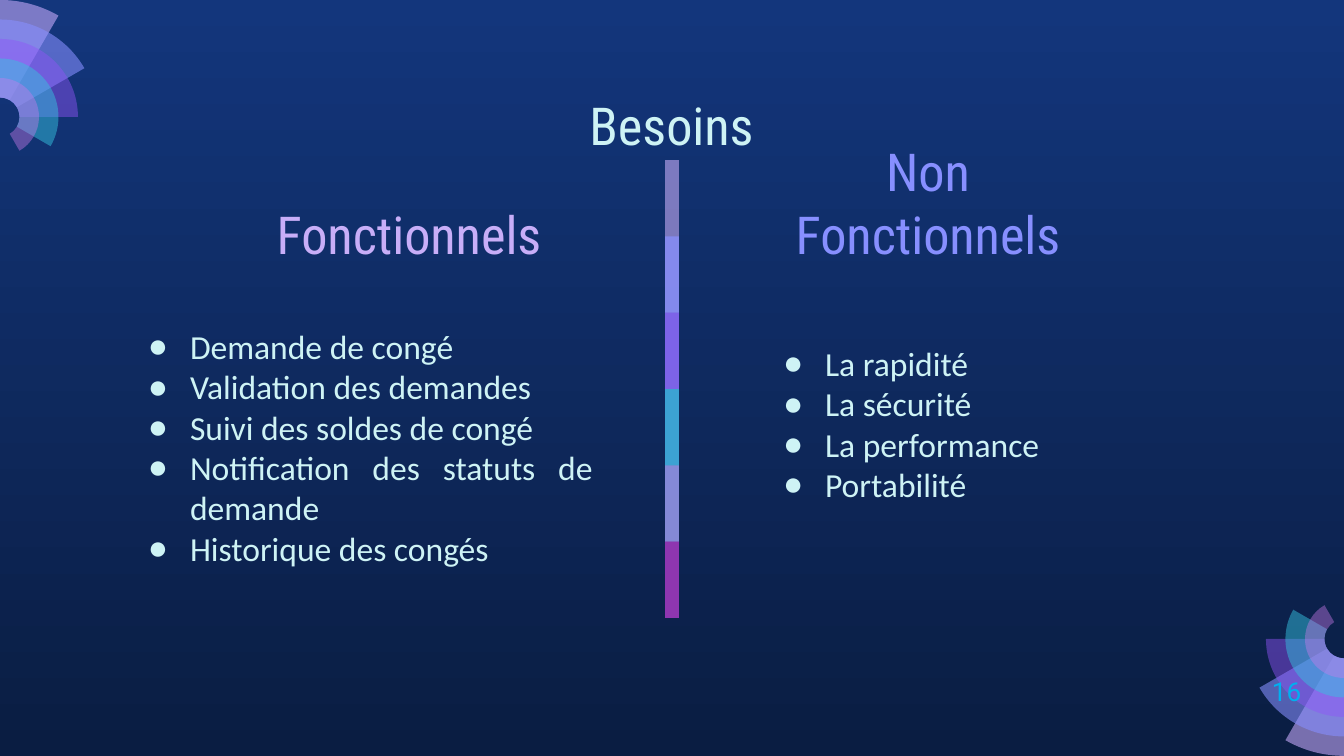
import math
from dataclasses import dataclass

from lxml import etree
from pptx import Presentation
from pptx import util as u
from pptx.dml.color import RGBColor
from pptx.enum import shapes, text
from pptx.oxml import ns

WIDTH, HEIGHT = 1344, 756
FAN_RADIUS = 117
SCALE = 9144000 / WIDTH


@dataclass(frozen=True)
class Theme:
    sky: str = "13367C"
    night: str = "0A1D42"
    pale: str = "CEF3F5"
    lilac: str = "C8AEF8"
    periwinkle: str = "878FFF"
    violet: str = "9154F8"
    cyan: str = "35C2DF"
    orchid: str = "CA7BEB"
    purple: str = "972CB4"
    azure: str = "00B0F0"
    petal: str = "C8ACFD"
    heading_font: str = "Roboto Condensed"
    body_font: str = "Calibri"
    number_font: str = "Roboto"
    heading_size: int = 28
    body_size: int = 18
    number_size: int = 14


THEME = Theme()


def px(value):
    return u.Emu(round(value * SCALE))


def paint(shape, color, opacity):
    shape.shadow.inherit = False
    shape.fill.solid()
    shape.fill.fore_color.rgb = RGBColor.from_string(color)
    shape.line.fill.background()
    tint = shape.element.spPr.find(".//" + ns.qn("a:srgbClr"))
    etree.SubElement(tint, ns.qn("a:alpha"), val=str(opacity * 1000))


def add_bullet(para, color):
    settings = para._p.get_or_add_pPr()
    settings.set("marL", str(px(42)))
    settings.set("indent", str(-px(42)))
    tint = etree.SubElement(settings, ns.qn("a:buClr"))
    etree.SubElement(tint, ns.qn("a:srgbClr"), val=color)
    etree.SubElement(settings, ns.qn("a:buChar"), char="●")


def write(box, lines, *, size, font, color, align=text.PP_ALIGN.LEFT,
          anchor=text.MSO_ANCHOR.TOP, margins=(13, 13), bullets=False,
          fit=text.MSO_AUTO_SIZE.NONE):
    frame = box.text_frame
    frame.word_wrap = True
    frame.auto_size = fit
    frame.vertical_anchor = anchor
    frame.margin_left = frame.margin_right = px(margins[0])
    frame.margin_top = frame.margin_bottom = px(margins[1])
    for index, line in enumerate(lines):
        para = frame.add_paragraph() if index else frame.paragraphs[0]
        if bullets:
            add_bullet(para, color)
        para.alignment = align
        para.space_before = u.Pt(0)
        span = para.add_run()
        span.text = line
        span.font.size = u.Pt(size)
        span.font.name = font
        span.font.bold = False
        span.font.color.rgb = RGBColor.from_string(color)


def place(box, left, top, width, height):
    box.left, box.top = px(left), px(top)
    box.width, box.height = px(width), px(height)


def add_heading(box, line, area, color, anchor=text.MSO_ANCHOR.BOTTOM):
    place(box, *area)
    write(box, [line], size=THEME.heading_size, font=THEME.heading_font,
          color=color, align=text.PP_ALIGN.CENTER, anchor=anchor)


def add_list(box, lines, area):
    place(box, *area)
    write(box, lines, size=THEME.body_size, font=THEME.body_font,
          color=THEME.pale, align=text.PP_ALIGN.JUSTIFY, bullets=True)


def set_background(page):
    fill = page.background.fill
    fill.gradient()
    fill.gradient_angle = 270
    for stop, color, position in zip(
            fill.gradient_stops, (THEME.sky, THEME.night), (0, 1)):
        stop.color.rgb = RGBColor.from_string(color)
        stop.position = position


def arc(center, radius, stops):
    def point(angle, offset):
        cosine, sine = math.cos(angle), math.sin(angle)
        return (px(center[0] + radius * (cosine - offset * sine)),
                px(center[1] + radius * (sine + offset * cosine)))

    angles = [math.radians(stop) for stop in stops]
    points = [point(angles[0], 0)]
    for start, end in zip(angles, angles[1:]):
        handle = 4 / 3 * math.tan((end - start) / 4)
        points += [point(start, handle), point(end, -handle), point(end, 0)]
    return points


def bend(shape, curve_points):
    lines = list(shape.element.iter(ns.qn("a:lnTo")))
    del lines[curve_points]
    for first, second, third in zip(lines[::3], lines[1::3], lines[2::3]):
        first.tag = ns.qn("a:cubicBezTo")
        for line in (second, third):
            first.append(line[0])
            line.getparent().remove(line)


def add_fan(page, center, turn):
    group = page.shapes.add_group_shape()
    rings = [(THEME.petal, 58), (THEME.periwinkle, 58), (THEME.violet, 46),
             (THEME.cyan, 49), (THEME.orchid, 42)]
    ring = FAN_RADIUS / 6
    for index, (color, opacity) in enumerate(rings):
        end = 30 * index - 60
        stops = [turn + angle for angle in sorted({-90, min(end, 0), end})]
        outer = arc(center, ring * (6 - index), stops)
        inner = arc(center, ring, stops[::-1])
        builder = group.shapes.build_freeform(*outer[0], scale=1.0)
        builder.add_line_segments(outer[1:] + inner, close=True)
        sector = builder.convert_to_shape()
        bend(sector, len(outer) - 1)
        paint(sector, color, opacity)


def add_divider(page, left, top, width, height):
    group = page.shapes.add_group_shape()
    bands = [(THEME.lilac, 59), (THEME.periwinkle, 74), (THEME.violet, 53),
             (THEME.cyan, 76), (THEME.orchid, 56), (THEME.purple, 74)]
    step = height / len(bands)
    for index, (color, opacity) in enumerate(bands):
        band_top = index * step
        band_height = min(2 * step, height - band_top)
        band = group.shapes.add_shape(
            shapes.MSO_SHAPE.RECTANGLE, px(left), px(top + band_top),
            px(width), px(band_height))
        paint(band, color, opacity)


def add_page_number(page, number, area):
    box = page.shapes.add_textbox(*map(px, area))
    write(box, [number], size=THEME.number_size, font=THEME.number_font,
          color=THEME.azure, margins=(13, 7),
          fit=text.MSO_AUTO_SIZE.SHAPE_TO_FIT_TEXT)


def main():
    deck = Presentation()
    deck.slide_width, deck.slide_height = px(WIDTH), px(HEIGHT)
    page = deck.slides.add_slide(deck.slide_layouts.get_by_name("Comparison"))
    set_background(page)
    add_fan(page, (WIDTH, HEIGHT - FAN_RADIUS), 180)
    add_fan(page, (0, FAN_RADIUS), 0)

    title, left_head, left_list, right_head, right_list = page.placeholders
    add_heading(title, "Besoins", (105, 80, 1133, 85), THEME.pale,
                anchor=text.MSO_ANCHOR.TOP)
    add_heading(left_head, "Fonctionnels", (251, 193, 316, 85), THEME.lilac)
    add_heading(right_head, "Non Fonctionnels", (770, 193, 316, 85),
                THEME.periwinkle)
    add_list(left_list, [
        "Demande de congé",
        "Validation des demandes",
        "Suivi des soldes de congé",
        "Notification des statuts de demande",
        "Historique des congés",
    ], (135, 313, 471, 333))
    add_list(right_list, [
        "La rapidité",
        "La sécurité",
        "La performance",
        "Portabilité",
    ], (770, 330, 316, 263))

    add_divider(page, 665, 160, 14, 458)
    add_page_number(page, "16", (1259, 668, 69, 46))
    deck.save("out.pptx")


if __name__ == "__main__":
    main()
